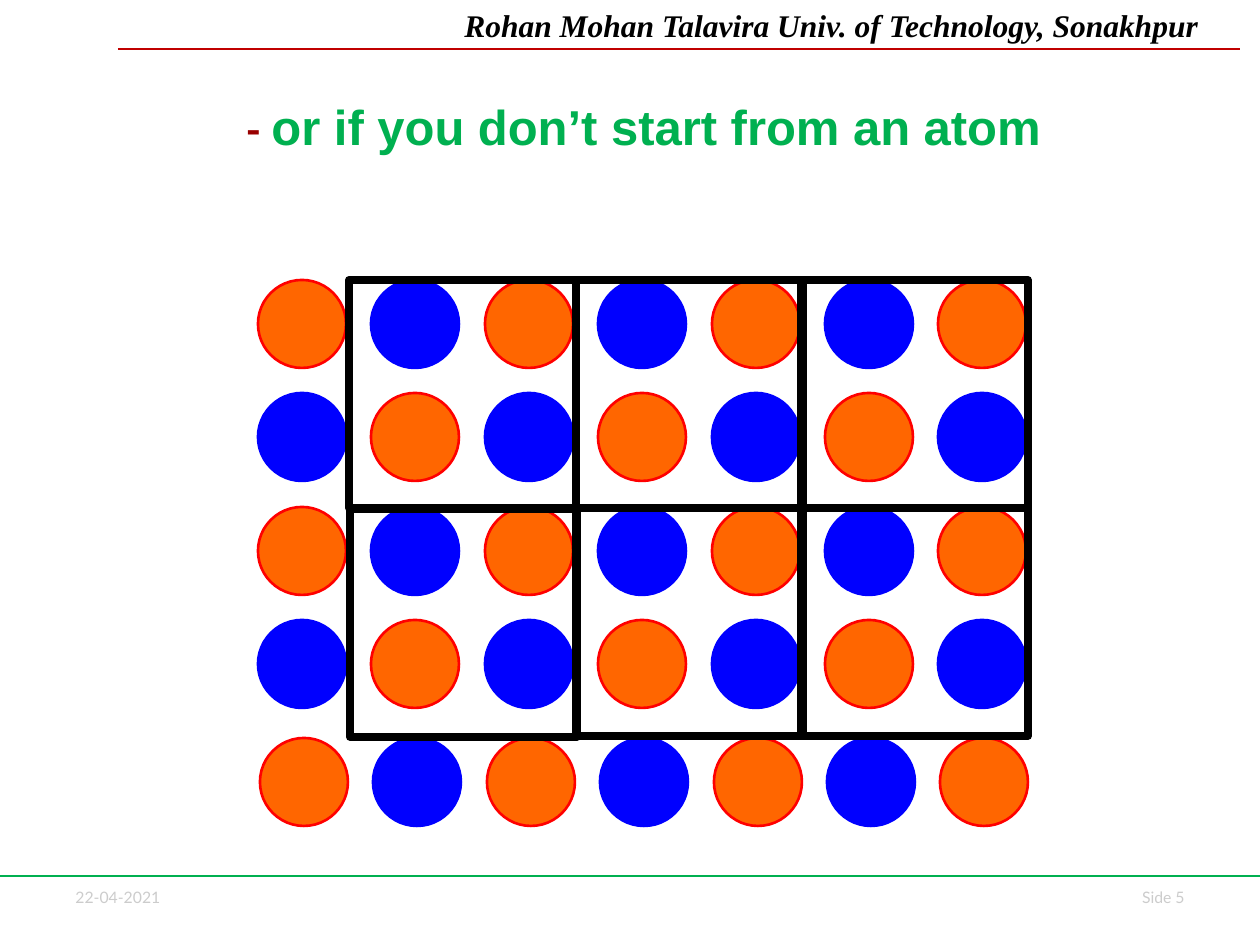
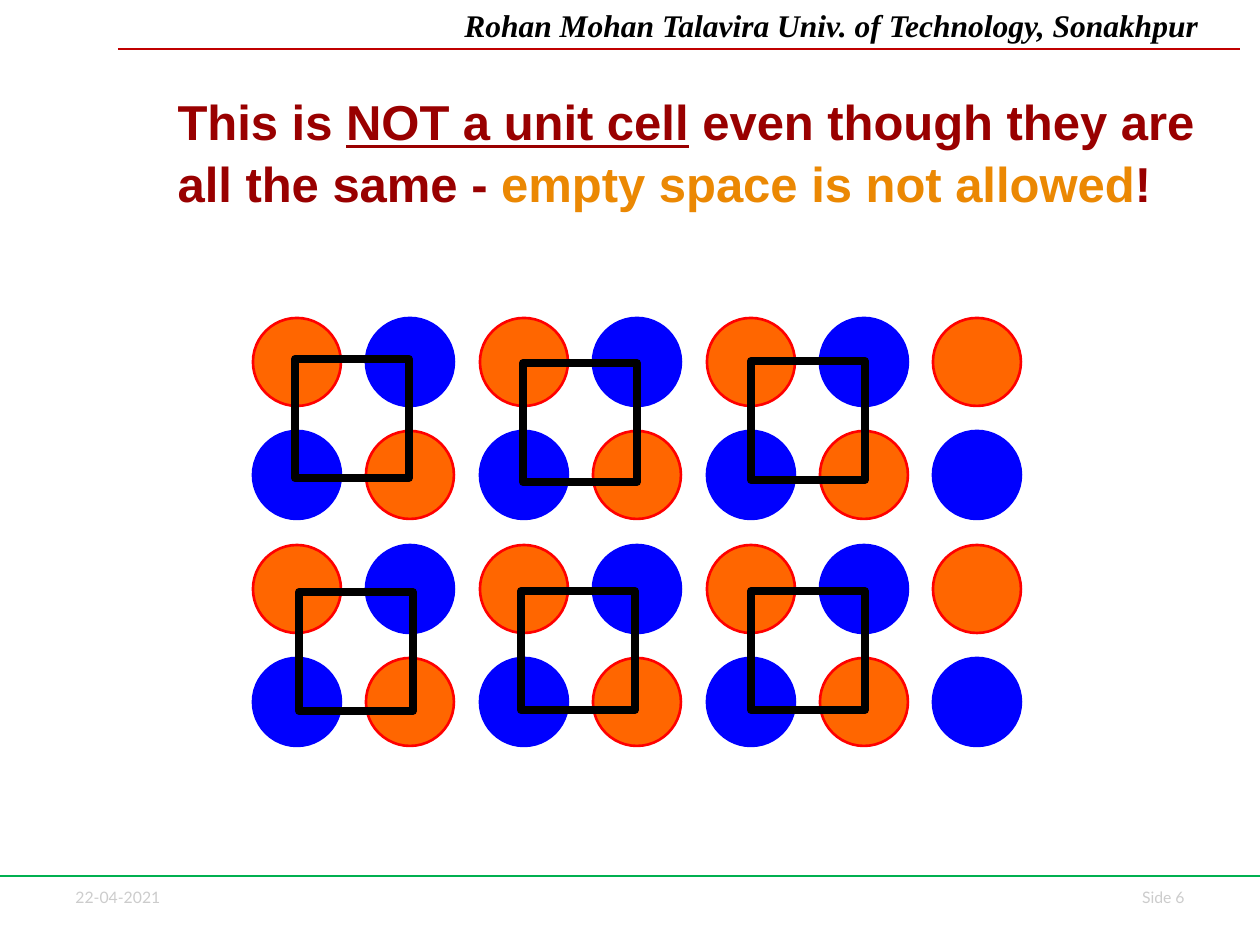
from pptx import Presentation
from pptx.dml.color import RGBColor
from pptx.enum.shapes import MSO_CONNECTOR, MSO_SHAPE
from pptx.enum.text import MSO_ANCHOR, MSO_AUTO_SIZE, PP_ALIGN
from pptx.oxml.ns import qn
from pptx.util import Emu, Pt
from lxml.etree import SubElement

BLACK = RGBColor(0x00, 0x00, 0x00)
GREY = RGBColor(0xCC, 0xCC, 0xCC)
CRIMSON = RGBColor(0xC0, 0x00, 0x00)
DARK_RED = RGBColor(0x99, 0x00, 0x00)
RED = RGBColor(0xFF, 0x00, 0x00)
GREEN = RGBColor(0x00, 0xB0, 0x50)
ORANGE = RGBColor(0xFF, 0x66, 0x00)
AMBER = RGBColor(0xEB, 0x88, 0x03)
BLUE = RGBColor(0x00, 0x00, 0xFF)

HEADER = "Rohan Mohan Talavira Univ. of Technology, Sonakhpur"
ATOM = 88      # diameter
PITCH = 113.4  # distance between neighbouring atoms
COLUMNS = 7


def px(*lengths):
    """Turn pixels (126 to the inch) into EMU."""
    return [Emu(round(v * 914400 / 126)) for v in lengths]


def add_label(s, box, text, font, size, color, align=PP_ALIGN.LEFT):
    tf = s.shapes.add_textbox(*px(*box)).text_frame
    tf.word_wrap = True
    p = tf.paragraphs[0]
    p.text = text
    p.alignment = align
    p.font.name, p.font.size, p.font.color.rgb = font, Pt(size), color
    return p


# Title runs: text, font, size, colour, underlined
# Atom rows: left, top of each row; cells: left, top of each
slides = [
    {
        "number": 5,
        "title_box": (233, 86, 987, 67),
        "title": [("- ", "Lato", 24, DARK_RED, False),
                  ("or if you don’t start from an atom", "Arial", 28, GREEN, False)],
        "rows": [(258, 280 + round(i * PITCH)) for i in range(4)] + [(260, 738)],
        "cell_size": (227, 228),
        "cells": [(350, 509), (576, 508), (801, 508),
                  (349, 280), (576, 280), (801, 280)],
    },
    {
        "number": 6,
        "title_box": (165, 81, 1081, 195),
        "title": [("This is ", "Arial", 28, DARK_RED, False),
                  ("NOT a unit cell", "Arial", 28, DARK_RED, True),
                  (" even though they are all the same - ", "Arial", 28, DARK_RED, False),
                  ("empty space is not allowed", "Arial", 28, AMBER, False),
                  ("!", "Arial", 28, DARK_RED, False)],
        "rows": [(253, 318 + round(i * PITCH)) for i in range(4)],
        "cell_size": (114, 119),
        "cells": [(295, 359), (523, 363), (751, 361),
                  (299, 592), (521, 591), (751, 591)],
    },
]

prs = Presentation()
prs.slide_width, prs.slide_height = px(1260, 945)

for content in slides:
    s = prs.slides.add_slide(prs.slide_layouts[5])

    # Header, footer and their rules
    add_label(s, (63, 882, 130, 32), "22-04-2021", "Lato", 9, GREY)
    add_label(s, (1092, 882, 105, 32), f"Side {content['number']}",
              "Lato", 9, GREY, PP_ALIGN.RIGHT)
    p = add_label(s, (452, 0, 808, 50), HEADER, "Times New Roman", 18, BLACK)
    p.font.bold = p.font.italic = True
    for left, right, y, color in ((118, 1240, 49, CRIMSON), (0, 1260, 876, GREEN)):
        rule = s.shapes.add_connector(MSO_CONNECTOR.STRAIGHT, *px(left, y, right, y))
        rule.line.color.rgb = color
        rule.line.width = Pt(0.75)
        SubElement(rule._element.spPr, qn("a:effectLst"))

    # Title
    title = s.shapes.title
    title.left, title.top, title.width, title.height = px(*content["title_box"])
    tf = title.text_frame
    tf.auto_size = MSO_AUTO_SIZE.NONE
    tf.vertical_anchor = MSO_ANCHOR.TOP
    tf.margin_top = px(8)[0]
    p = tf.paragraphs[0]
    p.alignment = PP_ALIGN.LEFT
    p.line_spacing = 1.05
    p.font.bold = True
    for text, font, size, color, underlined in content["title"]:
        r = p.add_run()
        r.text = text
        r.font.name, r.font.size, r.font.color.rgb = font, Pt(size), color
        r.font.underline = underlined

    # Lattice: two kinds of atom in a checkerboard
    lattice = s.shapes.add_group_shape()
    for row, (left, top) in enumerate(content["rows"]):
        for col in range(COLUMNS):
            fill, line = ((ORANGE, RED), (BLUE, BLUE))[(row + col) % 2]
            sp = lattice.shapes.add_shape(
                MSO_SHAPE.OVAL, *px(left + round(col * PITCH), top, ATOM, ATOM))
            sp.shadow.inherit = False
            sp.fill.solid()
            sp.fill.fore_color.rgb = fill
            sp.line.color.rgb = line
            sp.line.width = Pt(1.5)

    # Candidate unit cells
    cells = s.shapes.add_group_shape()
    for left, top in content["cells"]:
        sp = cells.shapes.add_shape(
            MSO_SHAPE.RECTANGLE, *px(left, top, *content["cell_size"]))
        sp.shadow.inherit = False
        sp.fill.background()
        sp.line.color.rgb = BLACK
        sp.line.width = Pt(4.5)

prs.save("out.pptx")
